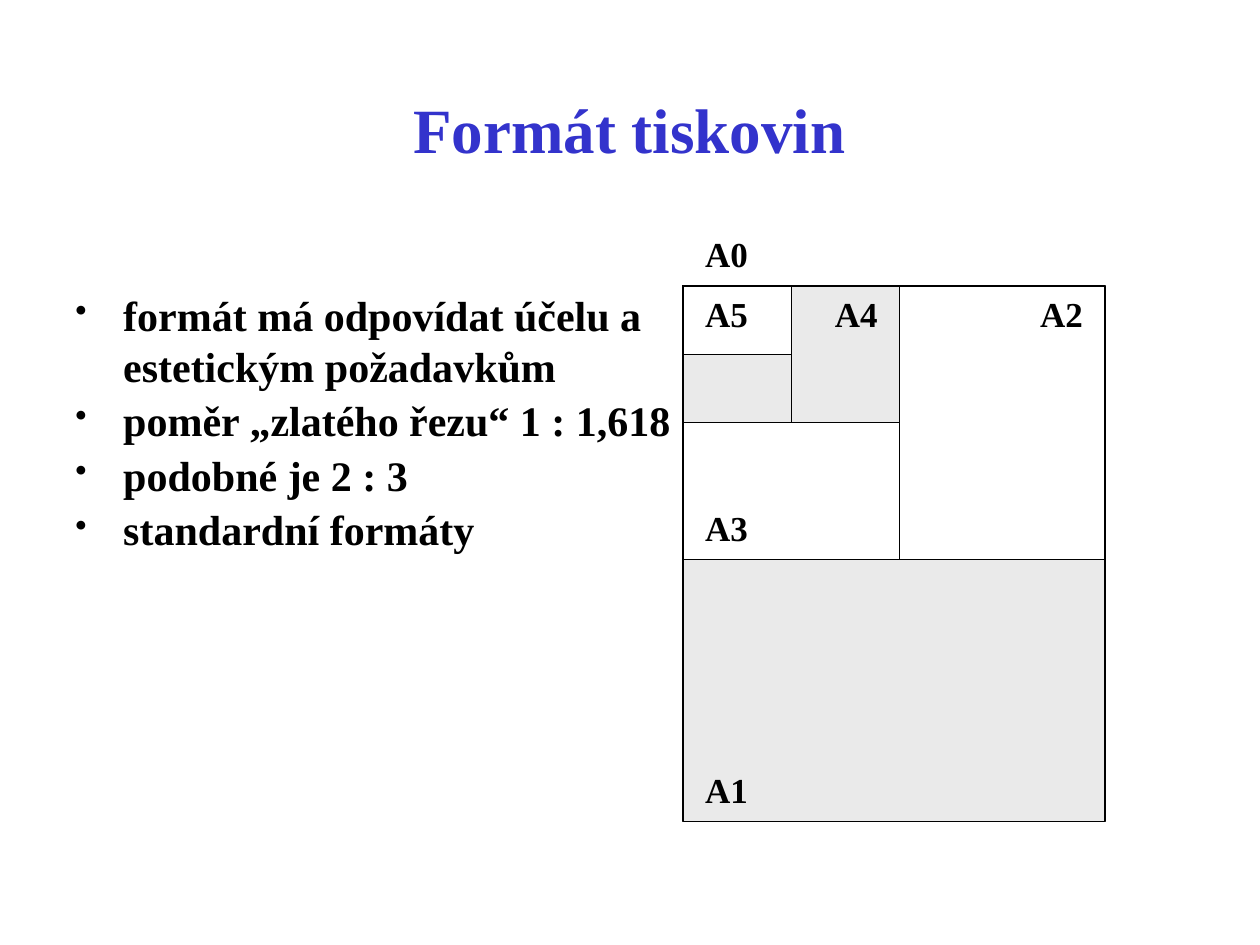
from lxml import etree
from pptx import Presentation
from pptx.dml.color import RGBColor
from pptx.enum.shapes import MSO_SHAPE
from pptx.enum.text import MSO_ANCHOR, PP_ALIGN
from pptx.oxml.ns import qn
from pptx.util import Inches, Pt

RECT = MSO_SHAPE.RECTANGLE
LEFT, CENTER = PP_ALIGN.LEFT, PP_ALIGN.CENTER
TOP = MSO_ANCHOR.TOP
COLORS = {"title": "3333CC", "ink": "000000", "gray": "EAEAEA", "white": "FFFFFF"}
FONT = {"name": "Times New Roman", "bold": True}

# Outer sheet (A0) and the size of a label, in inches
X, Y, W, H = 5.42, 2.27, 3.35, 4.25
TAG_W, TAG_H = 0.69, 0.43
COL, ROW = 1.72, 2.17

POINTS = [
    "formát má odpovídat účelu a estetickým požadavkům",
    "poměr „zlatého řezu“ 1 : 1,618",
    "podobné je 2 : 3",
    "standardní formáty",
]

# Each sheet lies on the one before: width, height, fill
SHEETS = [
    (W, H, "gray"),
    (W, ROW, "white"),
    (COL, ROW, "white"),
    (COL, ROW / 2, "gray"),
    (COL / 2, ROW / 2, "gray"),
    (COL / 2, ROW / 4, "white"),
]

# Label: left and top
TAGS = {
    "A1": (X, Y + H - TAG_H - 0.04),
    "A2": (X + W - TAG_W, Y),
    "A3": (X, Y + ROW - TAG_H - 0.04),
    "A4": (X + COL - TAG_W, Y),
    "A5": (X, Y),
    "A0": (X, Y - TAG_H - 0.04),
}


def rgb(key):
    return RGBColor.from_string(COLORS[key])


def add_mark(para):
    """Give the paragraph a hanging round bullet."""
    props = para._p.get_or_add_pPr()
    props.set("marL", str(Inches(0.38)))
    props.set("indent", str(-Inches(0.38)))
    color = etree.SubElement(props, qn("a:buClr"))
    etree.SubElement(color, qn("a:srgbClr"), val=COLORS["ink"])
    etree.SubElement(props, qn("a:buSzPct"), val="80000")
    etree.SubElement(props, qn("a:buChar"), char="•")


def add_text(slide, box, lines, size, color="ink", align=CENTER, marks=False):
    frame = slide.shapes.add_textbox(*map(Inches, box)).text_frame
    frame.word_wrap = True
    frame.vertical_anchor = TOP
    for i, line in enumerate(lines):
        para = frame.paragraphs[0] if i == 0 else frame.add_paragraph()
        para.text = line
        para.alignment = align
        if i:
            para.space_before = Pt(size / 10)
        if marks:
            add_mark(para)
        font = para.runs[0].font
        for name, value in {**FONT, "size": Pt(size)}.items():
            setattr(font, name, value)
        font.color.rgb = rgb(color)


def add_sheet(slide, wide, high, fill):
    sheet = slide.shapes.add_shape(RECT, *map(Inches, (X, Y, wide, high)))
    sheet.shadow.inherit = False
    sheet.fill.solid()
    sheet.fill.fore_color.rgb = rgb(fill)
    sheet.line.color.rgb = rgb("ink")
    sheet.line.width = Pt(0.75)


def main():
    deck = Presentation()
    deck.slide_width, deck.slide_height = Inches(10), Inches(7.5)
    slide = deck.slides.add_slide(deck.slide_layouts[6])
    add_text(slide, (0.33, 0.67, 9.33, 0.7), ["Formát tiskovin"], 36, "title")
    add_text(slide, (0.5, 2.25, 5.33, 2.22), POINTS, 24, align=LEFT, marks=True)
    for sheet in SHEETS:
        add_sheet(slide, *sheet)
    for name, (left, top) in TAGS.items():
        add_text(slide, (left, top, TAG_W, TAG_H), [name], 20)
    deck.save("out.pptx")


if __name__ == "__main__":
    main()
